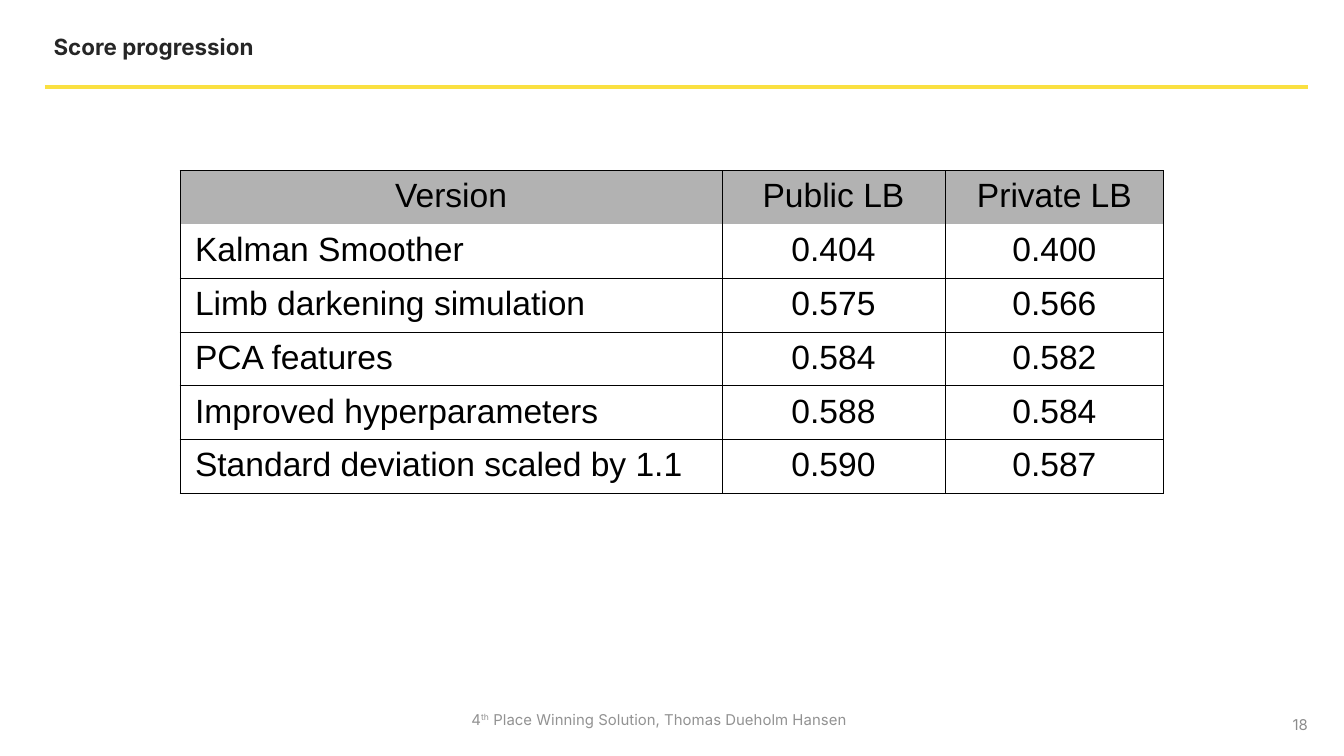
"""Build the score progression slide with its results table."""
from typing import NamedTuple

from lxml import etree
from pptx import Presentation
from pptx.dml.color import RGBColor
from pptx.enum.shapes import MSO_CONNECTOR
from pptx.enum.text import MSO_ANCHOR, PP_ALIGN
from pptx.oxml.ns import qn
from pptx.util import Pt

LEFT, CENTER, RIGHT = PP_ALIGN.LEFT, PP_ALIGN.CENTER, PP_ALIGN.RIGHT
TOP, MIDDLE = MSO_ANCHOR.TOP, MSO_ANCHOR.MIDDLE
STRAIGHT = MSO_CONNECTOR.STRAIGHT
WIDTHS = (290.3, 119.5, 117.2)
ROW = 28.8
BORDER = 0.57


class Score(NamedTuple):
    version: str
    public: str
    private: str


class Label(NamedTuple):
    words: tuple[str, ...]
    box: tuple[float, float, float, float]
    size: float
    color: str
    bold: bool = False
    align: PP_ALIGN = LEFT
    anchor: MSO_ANCHOR = TOP


SCORES = (
    Score("Version", "Public LB", "Private LB"),
    Score("Kalman Smoother", "0.404", "0.400"),
    Score("Limb darkening simulation", "0.575", "0.566"),
    Score("PCA features", "0.584", "0.582"),
    Score("Improved hyperparameters", "0.588", "0.584"),
    Score("Standard deviation scaled by 1.1", "0.590", "0.587"),
)
LABELS = (
    Label(("4", "th", " Place Winning Solution, Thomas Dueholm Hansen"),
          (245.5, 377.3, 224, 16.6), 8, "929292"),
    Label(("18",), (545.8, 377.3, 162, 21.6), 8, "8B8B8B",
          align=RIGHT, anchor=MIDDLE),
    Label(("Score progression",), (21.6, 14.4, 404.6, 41), 12, "262626",
          bold=True),
)


def paint(color: str) -> RGBColor:
    return RGBColor.from_string(color)


def write(frame, *words: str, size: float, font: str, color: str = "000000",
          bold: bool = False, align: PP_ALIGN = LEFT) -> None:
    para = frame.paragraphs[0]
    para.alignment = align
    for word in words:
        run = para.add_run()
        run.text = word
        run.font.size, run.font.name, run.font.bold = Pt(size), font, bold
        run.font.color.rgb = paint(color)
        if word == "th":
            run._r.get_or_add_rPr().set("baseline", "33000")


def add_label(slide, label: Label) -> None:
    frame = slide.shapes.add_textbox(*map(Pt, label.box)).text_frame
    frame.word_wrap = True
    frame.vertical_anchor = label.anchor
    write(frame, *label.words, size=label.size, font="Inter",
          color=label.color, bold=label.bold, align=label.align)


def add_rule(slide) -> None:
    rule = slide.shapes.add_connector(
        STRAIGHT, Pt(24), Pt(46.6), Pt(701), Pt(46.6))
    rule.line.color.rgb = paint("FAE041")
    rule.line.width = Pt(2)
    etree.SubElement(rule._element.spPr, qn("a:effectLst"))


def edge(cell, side: str, shown: bool) -> None:
    line = etree.SubElement(cell._tc.get_or_add_tcPr(), qn(f"a:ln{side}"),
                            w=str(int(Pt(BORDER))))
    if shown:
        fill = etree.SubElement(line, qn("a:solidFill"))
        etree.SubElement(fill, qn("a:srgbClr"), val="000000")
    else:
        etree.SubElement(line, qn("a:noFill"))


def fill_cell(cell, text: str, row: int, col: int) -> None:
    cell.margin_left = Pt(3 if row == 0 or col else 8)
    cell.margin_right = Pt(3)
    cell.margin_top = cell.margin_bottom = Pt(3.6)
    for side in "LRTB":
        edge(cell, side, (row, side) not in ((0, "B"), (1, "T")))
    if row == 0:
        cell.fill.solid()
        cell.fill.fore_color.rgb = paint("B2B2B2")
    else:
        cell.fill.background()
    write(cell.text_frame, text, size=18, font="Arial",
          align=LEFT if row and col == 0 else CENTER)


def add_scores(slide) -> None:
    count = len(SCORES)
    table = slide.shapes.add_table(
        count, len(WIDTHS), Pt(96.5), Pt(91.4),
        Pt(sum(WIDTHS)), Pt(ROW * count)).table
    table.first_row = table.horz_banding = False
    for column, width in zip(table.columns, WIDTHS):
        column.width = Pt(width)
    for row, score in enumerate(SCORES):
        table.rows[row].height = Pt(ROW)
        for col, text in enumerate(score):
            fill_cell(table.cell(row, col), text, row, col)


def main() -> None:
    deck = Presentation()
    deck.slide_width, deck.slide_height = Pt(720), Pt(405)
    slide = deck.slides.add_slide(deck.slide_layouts[6])
    for label in LABELS:
        add_label(slide, label)
    add_rule(slide)
    add_scores(slide)
    deck.save("out.pptx")


if __name__ == "__main__":
    main()
